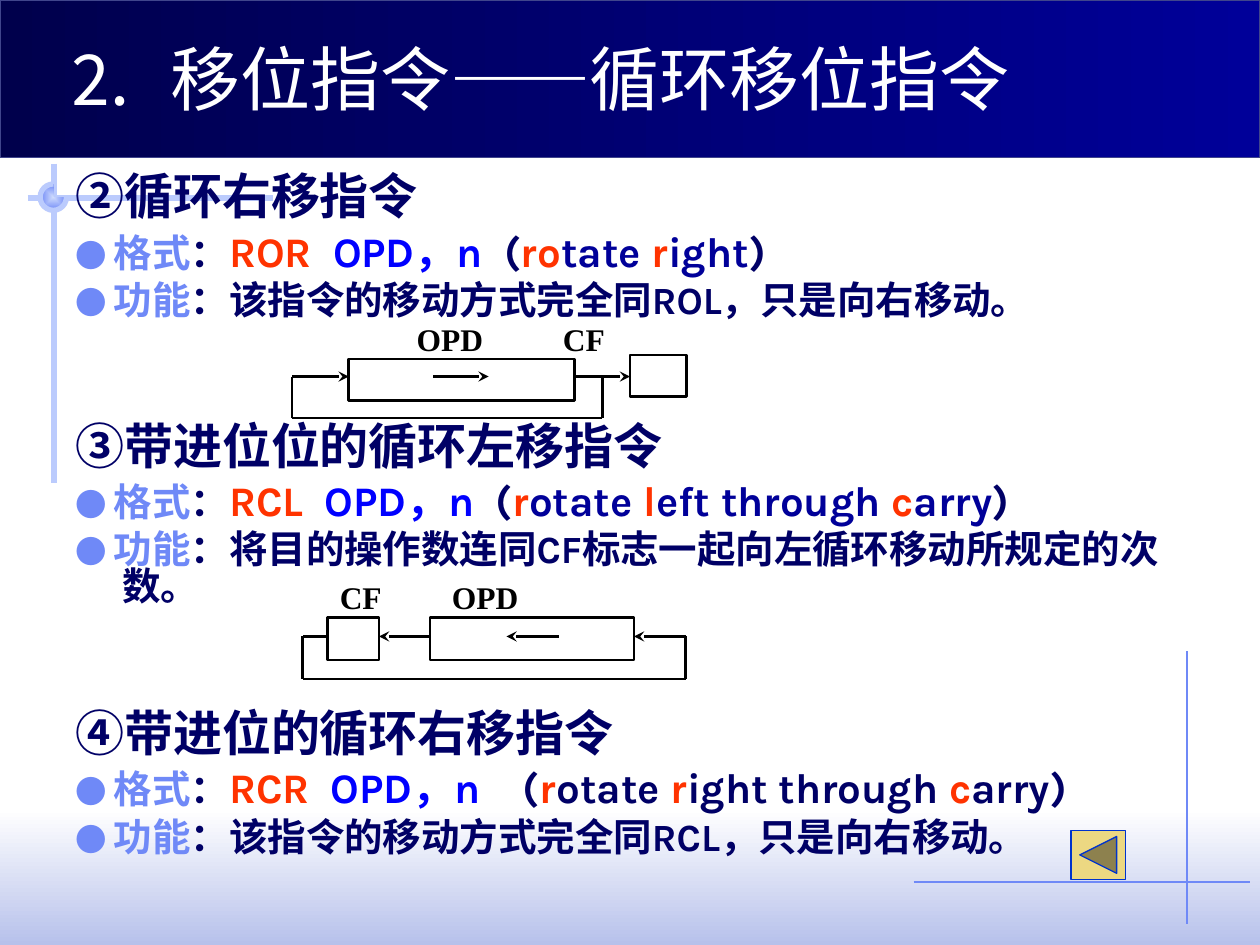
from dataclasses import dataclass
from itertools import pairwise

from lxml.etree import SubElement
from pptx import Presentation
from pptx.dml.color import RGBColor
from pptx.enum.shapes import MSO_CONNECTOR as Connector, MSO_SHAPE as Shape
from pptx.enum.text import MSO_ANCHOR as Anchor
from pptx.oxml.ns import qn
from pptx.util import Cm, Pt


@dataclass(frozen=True)
class Theme:
    """Colours, fonts and type sizes of the slide."""
    white: str = "FFFFFF"
    black: str = "000000"
    navy: str = "000066"
    header_dark: str = "00004C"
    header_line: str = "40458C"
    deep_blue: str = "000099"
    blue: str = "0000FF"
    accent: str = "6F89F7"
    pale: str = "BBCBFD"
    ball: str = "CFDBFD"
    footer: str = "B7C1EB"
    red: str = "FF3300"
    button: str = "ECD882"
    button_line: str = "0033CC"
    font: str = "Karla"
    label_font: str = "Times New Roman"
    title_size: float = 40
    heading_size: float = 28
    syntax_size: float = 24
    body_size: float = 22
    label_size: float = 18
    hairline: float = 0.74
    wire: float = 1.5
    rail: float = 3


THEME = Theme()


def rgb(value):
    """Turn a hex string into a colour."""
    return RGBColor.from_string(value)


def add_box(shapes, kind, box, fill=None, line=None, width=THEME.hairline):
    """Add a preset shape without shadow."""
    shape = shapes.add_shape(kind, *map(Cm, box))
    shape.shadow.inherit = False
    if fill:
        shape.fill.solid()
        shape.fill.fore_color.rgb = rgb(fill)
    else:
        shape.fill.background()
    if line:
        shape.line.color.rgb = rgb(line)
        shape.line.width = Pt(width)
    else:
        shape.line.fill.background()
    return shape


def set_gradient(shape, first, last, angle):
    """Fill a shape with a two-colour linear gradient."""
    shape.fill.gradient()
    shape.fill.gradient_angle = angle
    for stop, color in zip(shape.fill.gradient_stops, (first, last)):
        stop.color.rgb = rgb(color)


def add_line(shapes, start, end, color, width, arrow=False):
    """Add a straight line, with an optional arrowhead at its end."""
    line = shapes.add_connector(Connector.STRAIGHT, *map(Cm, (*start, *end)))
    line.line.color.rgb = rgb(color)
    line.line.width = Pt(width)
    if arrow:
        SubElement(line.line._get_or_add_ln(), qn("a:tailEnd"), type="stealth")
    SubElement(line._element.spPr, qn("a:effectLst"))


def add_run(paragraph, text, size, color, font=THEME.font, bold=True):
    """Append one formatted run to a paragraph."""
    run = paragraph.add_run()
    run.text = text
    run.font.size = Pt(size)
    run.font.name = font
    run.font.bold = bold
    run.font.color.rgb = rgb(color)


def add_text_frame(shapes, box, wrap=True):
    """Add a text box and return its frame."""
    frame = shapes.add_textbox(*map(Cm, box)).text_frame
    frame.word_wrap = wrap
    return frame


def add_backdrop(shapes, width, height):
    """Draw the footer fade, guide lines and ball."""
    footer_height = 2.74
    footer = add_box(shapes, Shape.RECTANGLE,
                     (0, height - footer_height, width, footer_height))
    set_gradient(footer, THEME.white, THEME.footer, 270)
    for start, end, color, weight in (
        ((23.93, 13.13), (23.93, 18.62), THEME.accent, THEME.hairline),
        ((18.42, 17.78), (25.2, 17.78), THEME.accent, THEME.hairline),
        ((0.56, 3.99), (5.51, 3.99), THEME.pale, THEME.rail),
        ((1.09, 3.3), (1.09, 9.73), THEME.pale, THEME.rail),
    ):
        add_line(shapes, start, end, color, weight)
    ball_box = (0.81, 3.71, 0.53, 0.53)
    ball = add_box(shapes, Shape.PIE, ball_box)
    set_gradient(ball, THEME.ball, THEME.accent, 0)
    gradient = ball._element.spPr.find(qn("a:gradFill"))
    gradient.remove(gradient.find(qn("a:lin")))
    focus = SubElement(gradient, qn("a:path"), {"path": "rect"})
    SubElement(focus, qn("a:fillToRect"), dict.fromkeys("ltrb", "50000"))
    rim = add_box(shapes, Shape.ARC, ball_box, line=THEME.pale, width=THEME.rail)
    rim.adjustments[0], rim.adjustments[1] = 0, 162


def add_header(shapes, left, top, width, height, title):
    """Draw the title band and its text."""
    band = add_box(shapes, Shape.RECTANGLE, (left, top, width, height),
                   line=THEME.header_line)
    set_gradient(band, THEME.deep_blue, THEME.header_dark, 180)
    frame = add_text_frame(shapes, (left + 1.07, top + 0.2, 21.59, 2.34))
    frame.vertical_anchor = Anchor.BOTTOM
    add_run(frame.paragraphs[0], title, THEME.title_size, THEME.white, bold=False)


def add_section(shapes, left, top, heading, mnemonic, gap, phrase, purpose):
    """Write one instruction: heading, format and function."""
    frame = add_text_frame(shapes, (left, top, 22.86, 3.5))
    body, syntax = THEME.body_size, THEME.syntax_size
    bullet = ("● ", THEME.label_size, THEME.accent)
    lines = (
        (7, [(heading, THEME.heading_size, THEME.navy)]),
        (6, [bullet, ("格式", body, THEME.accent), ("：", body, THEME.navy),
             (mnemonic + "\u2002", syntax, THEME.red), ("OPD，n", syntax, THEME.blue),
             (gap + "(", syntax, THEME.navy),
             *((text, syntax, color) for text, color in phrase),
             (")", syntax, THEME.navy)]),
        (5.5, [bullet, ("功能", body, THEME.accent), ("：" + purpose, body, THEME.navy)]),
    )
    for index, (space, runs) in enumerate(lines):
        paragraph = frame.add_paragraph() if index else frame.paragraphs[0]
        paragraph.line_spacing = 0.8
        paragraph.space_before = Pt(space)
        properties = paragraph._p.get_or_add_pPr()
        properties.set("marL", str(Cm(0.95)))
        properties.set("indent", str(-Cm(0.95)))
        for run in runs:
            add_run(paragraph, *run)


def add_diagram(shapes, left, top, registers, labels, wires):
    """Draw registers, labels and wires, each wire ending in an arrow."""
    parts = shapes.add_group_shape().shapes
    for x, y, width, height in registers:
        add_box(parts, Shape.RECTANGLE, (left + x, top + y, width, height),
                line=THEME.black, width=THEME.wire)
    for text, x, y in labels:
        frame = add_text_frame(parts, (left + x, top + y, 2, 1.2), wrap=False)
        add_run(frame.paragraphs[0], text, THEME.label_size, THEME.black, THEME.label_font)
    for wire in wires:
        points = [(left + x, top + y) for x, y in wire]
        for start, end in pairwise(points):
            add_line(parts, start, end, THEME.black, THEME.wire, arrow=end == points[-1])


def build():
    """Build and save the slide."""
    presentation = Presentation()
    presentation.slide_width, presentation.slide_height = Cm(25.4), Cm(19.05)
    shapes = presentation.slides.add_slide(presentation.slide_layouts[6]).shapes
    red, deep, navy = THEME.red, THEME.deep_blue, THEME.navy
    add_backdrop(shapes, 25.4, 19.05)
    add_header(shapes, 0, 0, 25.4, 3.18, "⒉\u2002移位指令——循环移位指令")
    sections = (
        (3.45, "②循环右移指令", "ROR", "\u2002",
         [("ro", red), ("tate", deep), (" r", red), ("ight", deep)],
         "该指令的移动方式完全同ROL，只是向右移动。"),
        (8.48, "③带进位位的循环左移指令", "RCL", "\u2002",
         [("r", red), ("otate ", deep), ("l", red), ("eft through", deep),
          (" c", red), ("arry", deep)],
         "将目的操作数连同CF标志一起向左循环移动所规定的次数。"),
        (14.27, "④带进位的循环右移指令", "RCR", "\u2003",
         [("r", red), ("otate ", navy), ("r", red), ("ight through ", navy),
          ("c", red), ("arry", navy)],
         "该指令的移动方式完全同RCL，只是向右移动。"),
    )
    for top, *content in sections:
        add_section(shapes, 1.27, top, *content)
    add_diagram(
        shapes, 5.89, 7.16,
        [(6.81, 0, 1.14, 0.84), (1.14, 0.08, 4.55, 0.84)],
        [("OPD", 2.26, -0.84), ("CF", 5.21, -0.84)],
        [[(5.69, 0.43), (6.81, 0.43)], [(2.84, 0.43), (3.96, 0.43)],
         [(6.25, 0.43), (6.25, 1.27), (0, 1.27), (0, 0.43), (1.14, 0.43)]])
    add_diagram(
        shapes, 6.1, 12.45,
        [(0.5, 0, 1.04, 0.86), (2.57, 0, 4.11, 0.86)],
        [("CF", 0.5, -0.92), ("OPD", 2.76, -0.92)],
        [[(2.57, 0.38), (1.54, 0.38)], [(5.16, 0.38), (4.11, 0.38)],
         [(0.5, 0.38), (0, 0.38), (0, 1.24), (7.72, 1.24), (7.72, 0.38), (6.68, 0.38)]])
    add_box(shapes, Shape.ACTION_BUTTON_BACK_OR_PREVIOUS, (21.59, 16.74, 1.1, 0.99),
            THEME.button, THEME.button_line)
    presentation.save("out.pptx")


build()
